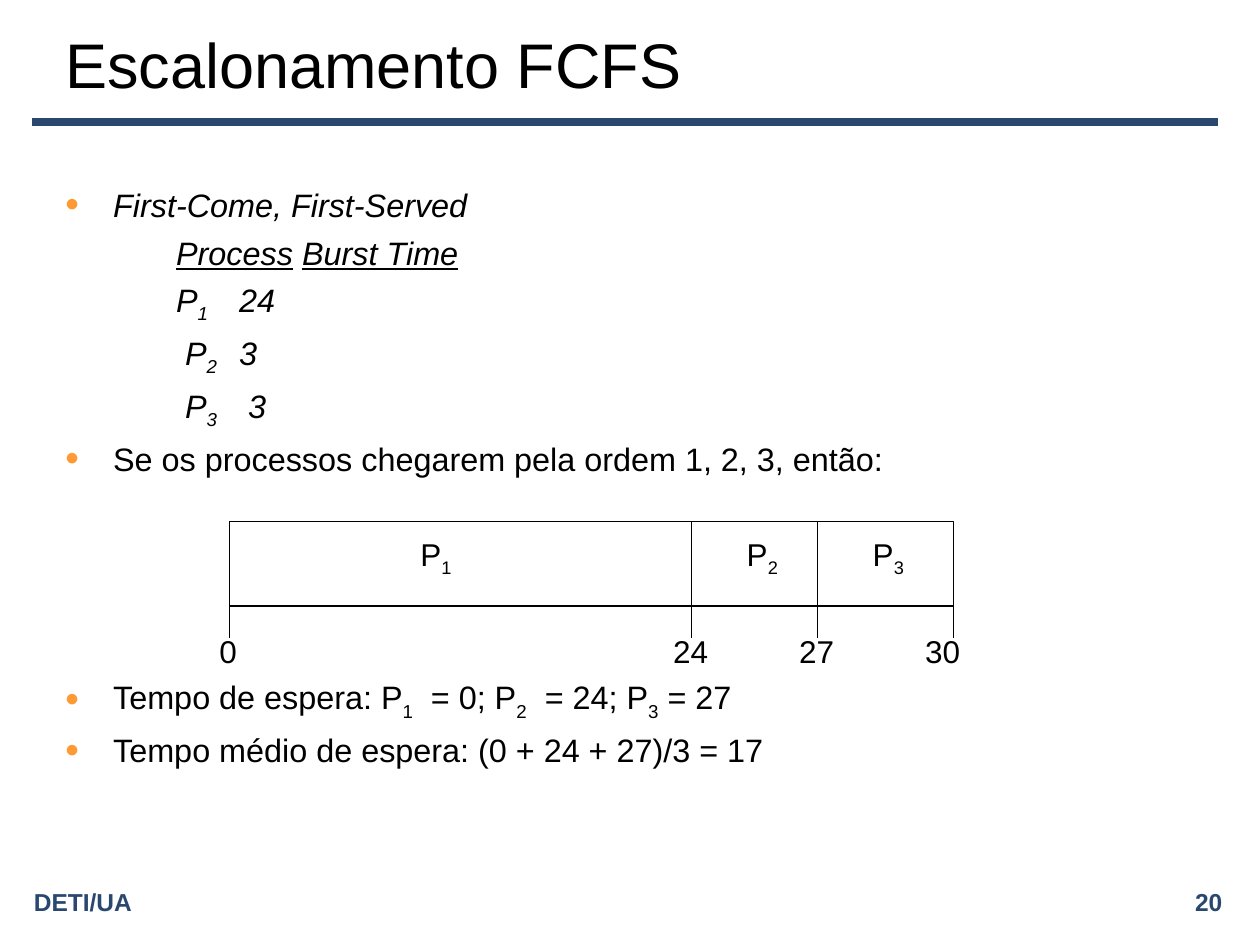
from dataclasses import dataclass

from lxml import etree
from pptx import Presentation
from pptx.dml.color import RGBColor
from pptx.enum.shapes import MSO_CONNECTOR, MSO_SHAPE
from pptx.enum.text import MSO_ANCHOR, PP_ALIGN
from pptx.oxml.ns import qn
from pptx.util import Inches, Pt

STRAIGHT = MSO_CONNECTOR.STRAIGHT
RECTANGLE = MSO_SHAPE.RECTANGLE
TOP, MIDDLE = MSO_ANCHOR.TOP, MSO_ANCHOR.MIDDLE
LEFT, CENTER, RIGHT = PP_ALIGN.LEFT, PP_ALIGN.CENTER, PP_ALIGN.RIGHT


@dataclass(frozen=True)
class Theme:
    font: str = "Arial"
    ink: str = "000000"
    paper: str = "FFFFFF"
    accent: str = "2A476F"
    bullet: str = "FF9933"
    title_size: float = 36
    body_size: float = 18.5
    chart_size: float = 18
    footer_size: float = 14
    rule_width: float = 4.5
    chart_line: float = 0.75
    gap: float = 5
    chart_gap: float = 114


THEME = Theme()

TITLE = "Escalonamento FCFS"
FOOTERS = [("DETI/UA", 0.17, LEFT), ("20", 5.92, RIGHT)]

# Each paragraph: bulleted, italic, space before, runs of (text, style)
PARAGRAPHS = [
    (True, True, 0, [("First-Come, First-Served", "")]),
    (False, True, THEME.gap, [("\t\t", ""), ("Process", "underline"), ("\t", ""),
                              ("Burst Time", "underline")]),
    (False, True, THEME.gap, [("\t\tP", ""), ("1\t", "sub"), ("24", "")]),
    (False, True, THEME.gap, [("\t\t P", ""), ("2\t", "sub"), ("3", "")]),
    (False, True, THEME.gap, [("\t\t P", ""), ("3\t", "sub"), (" 3", "")]),
    (True, False, THEME.gap,
     [("Se os processos chegarem pela ordem 1, 2, 3, então:", "")]),
    (True, False, THEME.chart_gap,
     [("Tempo de espera: P", ""), ("1", "sub"), ("  = 0; P", ""), ("2", "sub"),
      ("  = 24; P", ""), ("3", "sub"), (" = 27", "")]),
    (True, False, THEME.gap, [("Tempo médio de espera: (0 + 24 + 27)/3 = 17", "")]),
]

TIMES = [("0", 1.82, 1.81), ("24", 5.49, 5.48), ("27", 6.49, 6.48), ("30", 7.57, 7.48)]
PROCESSES = [("1", 3.46), ("2", 6.05), ("3", 7.05)]
BAR_TOP, BAR_BOTTOM, TICK_BOTTOM = 4.14, 4.81, 5.06
HANGING, TAB_COUNT = 0.38, 8


def color(value):
    return RGBColor.from_string(value)


def add_runs(paragraph, runs, size, ink=THEME.ink, bold=False, italic=False):
    for text, style in runs:
        run = paragraph.add_run()
        run.text = text
        font = run.font
        font.name, font.size = THEME.font, Pt(size)
        font.bold, font.italic = bold, italic
        font.color.rgb = color(ink)
        if style == "underline":
            font.underline = True
        elif style == "sub":
            run._r.get_or_add_rPr().set("baseline", "-25000")


def add_frame(slide, left, top, width, height, anchor=MIDDLE, wrap=True):
    frame = slide.shapes.add_textbox(
        Inches(left), Inches(top), Inches(width), Inches(height)).text_frame
    frame.word_wrap = wrap
    frame.vertical_anchor = anchor
    return frame


def add_chart_label(slide, runs, center, top, width, height):
    frame = add_frame(slide, center - width / 2, top, width, height, wrap=False)
    frame.paragraphs[0].alignment = CENTER
    add_runs(frame.paragraphs[0], runs, THEME.chart_size)


def add_line(slide, x1, y1, x2, y2, ink, width):
    line = slide.shapes.add_connector(
        STRAIGHT, Inches(x1), Inches(y1), Inches(x2), Inches(y2))
    line.line.color.rgb = color(ink)
    line.line.width = Pt(width)
    etree.SubElement(line._element.spPr, qn("a:effectLst"))


def format_list(paragraph, bulleted):
    properties = paragraph._p.get_or_add_pPr()
    properties.set("marL", str(Inches(HANGING)))
    properties.set("indent", str(-Inches(HANGING)))
    if bulleted:
        bullet_color = etree.SubElement(properties, qn("a:buClr"))
        etree.SubElement(bullet_color, qn("a:srgbClr"), val=THEME.bullet)
        etree.SubElement(properties, qn("a:buSzPct"), val="120000")
        etree.SubElement(properties, qn("a:buFont"), typeface=THEME.font)
        etree.SubElement(properties, qn("a:buChar"), char="•")
    else:
        etree.SubElement(properties, qn("a:buNone"))
    tabs = etree.SubElement(properties, qn("a:tabLst"))
    first = 1 if bulleted else 0
    for stop in range(first, first + TAB_COUNT):
        etree.SubElement(tabs, qn("a:tab"), pos=str(Inches(stop)), algn="l")


def add_header_and_footer(slide):
    add_line(slide, 0.25, 0.97, 9.67, 0.97, THEME.accent, THEME.rule_width)
    title = add_frame(slide, 0.42, 0.17, 8.75, 0.67)
    add_runs(title.paragraphs[0], [(TITLE, "")], THEME.title_size)
    for text, left, alignment in FOOTERS:
        footer = add_frame(slide, left, 7, 3.88, 0.31).paragraphs[0]
        footer.alignment = alignment
        add_runs(footer, [(text, "")], THEME.footer_size, THEME.accent, bold=True)


def add_body(slide):
    body = add_frame(slide, 0.42, 1.42, 9, 4.95, anchor=TOP)
    for index, (bulleted, italic, gap, runs) in enumerate(PARAGRAPHS):
        paragraph = body.add_paragraph() if index else body.paragraphs[0]
        format_list(paragraph, bulleted)
        if gap:
            paragraph.space_before = Pt(gap)
        add_runs(paragraph, runs, THEME.body_size, italic=italic)


def add_gantt(slide):
    start, end = TIMES[0][1], TIMES[-1][1]
    bar = slide.shapes.add_shape(
        RECTANGLE, Inches(start), Inches(BAR_TOP),
        Inches(end - start), Inches(BAR_BOTTOM - BAR_TOP))
    bar.shadow.inherit = False
    bar.fill.solid()
    bar.fill.fore_color.rgb = color(THEME.paper)
    bar.line.color.rgb = color(THEME.ink)
    bar.line.width = Pt(THEME.chart_line)
    for number, center in PROCESSES:
        add_chart_label(slide, [("P", ""), (number, "sub")], center, 4.2, 0.45, 0.44)
    for time, x, center in TIMES:
        top = BAR_BOTTOM if x in (start, end) else BAR_TOP
        add_line(slide, x, top, x, TICK_BOTTOM, THEME.ink, THEME.chart_line)
        add_chart_label(slide, [(time, "")], center, 4.97, 0.48, 0.4)


def main():
    deck = Presentation()
    deck.slide_width, deck.slide_height = Inches(10), Inches(7.5)
    slide = deck.slides.add_slide(deck.slide_layouts[6])
    add_header_and_footer(slide)
    add_body(slide)
    add_gantt(slide)
    deck.save("out.pptx")


if __name__ == "__main__":
    main()
